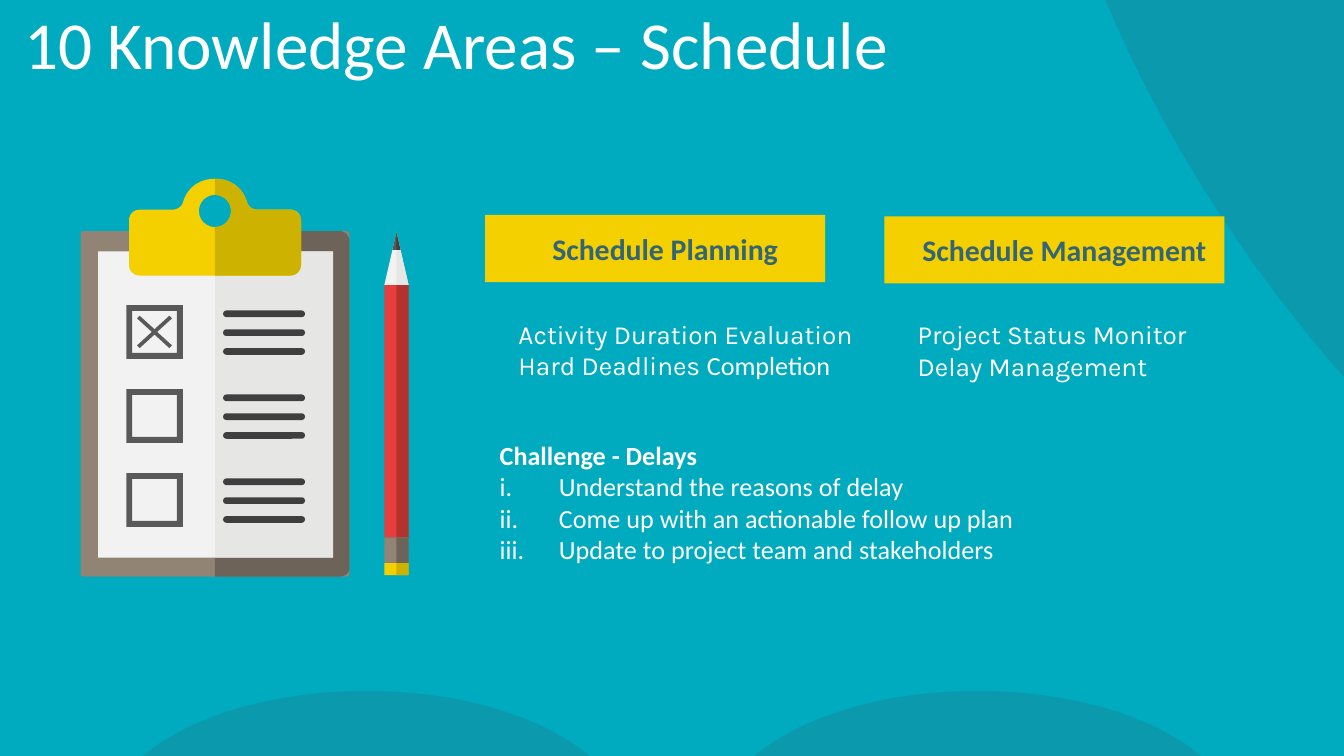
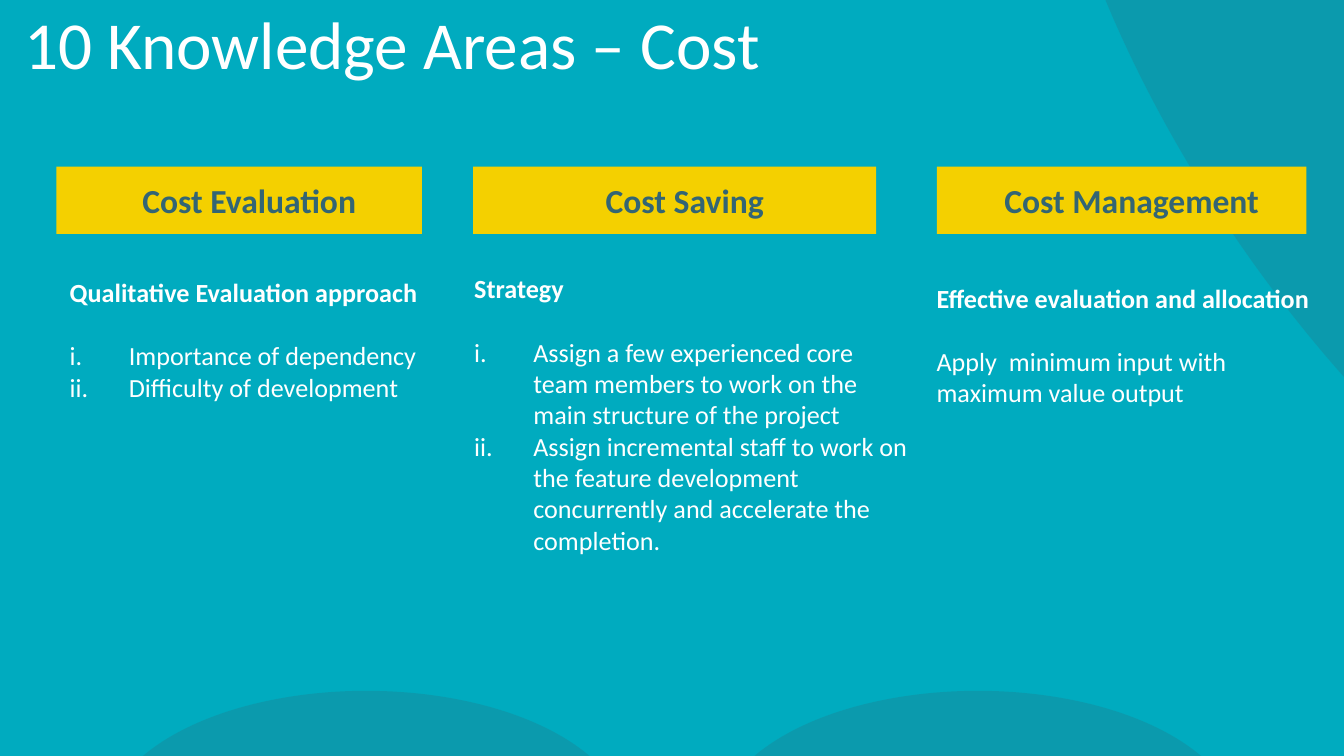
from math import cos, pi, sin

from pptx import Presentation
from pptx.dml.color import RGBColor
from pptx.enum.shapes import MSO_SHAPE as Kind
from pptx.enum.text import MSO_ANCHOR, MSO_AUTO_SIZE, PP_ALIGN
from pptx.oxml import parse_xml
from pptx.oxml.ns import nsdecls
from pptx.util import Inches, Pt

WIDE = Inches(10)
HIGH = WIDE * 9 // 16

TEAL = RGBColor(0x00, 0xAB, 0xBF)
SLATE = RGBColor(0x33, 0x65, 0x74)
WHITE = RGBColor(0xFF, 0xFF, 0xFF)
GOLD = RGBColor(0xF4, 0xD0, 0x00)
OCHRE = RGBColor(0xCE, 0xB2, 0x00)
TAN = RGBColor(0x91, 0x84, 0x74)
BROWN = RGBColor(0x6E, 0x63, 0x58)
PAPER = RGBColor(0xF2, 0xF2, 0xF2)
SHADE = RGBColor(0xE6, 0xE6, 0xE5)
GREY = RGBColor(0x5A, 0x59, 0x59)
DARK = RGBColor(0x3F, 0x3F, 0x3F)
RED = RGBColor(0xE8, 0x3D, 0x3D)
MAROON = RGBColor(0xB2, 0x32, 0x2E)

BODY, ALT = "Calibri", "Karla"
PLAIN, HANG, LIST, DEEP = (0, 0), (0.5, -0.35), (0.44, -0.44), (0.59, -0.44)
INSET = (0.15, 0)


# Basic parts
def paint(shape, color):
    shape.shadow.inherit = False
    shape.fill.solid()
    shape.fill.fore_color.rgb = color
    shape.line.fill.background()
    return shape


def block(shapes, kind, box, color, adj=None):
    shape = paint(shapes.add_shape(kind, *map(Inches, box)), color)
    if adj is not None:
        shape.adjustments[0] = adj
    return shape


def outline(shapes, loops, color, x, y):
    """Closed loops of points, measured from (x, y)."""
    loops = [[(Inches(x + a), Inches(y + b)) for a, b in loop] for loop in loops]
    build = shapes.build_freeform(*loops[0][0])
    for num, loop in enumerate(loops):
        if num:
            build.move_to(*loop[0])
        build.add_line_segments(loop[1:], close=True)
    return paint(build.convert_to_shape(), color)


def curve(a, b, c, d, steps=10):
    """Points along a cubic curve."""
    ts = [n / steps for n in range(steps + 1)]
    return [tuple((1 - t) ** 3 * p + 3 * t * (1 - t) ** 2 * q
                  + 3 * t * t * (1 - t) * r + t ** 3 * s
                  for p, q, r, s in zip(a, b, c, d)) for t in ts]


def arc(y, r, span, steps=24):
    """Points on a circle round (0, y), clockwise from its top."""
    angles = [span * n / steps for n in range(steps + 1)]
    return [(r * sin(t), y - r * cos(t)) for t in angles]


# Text
def style(para, size, color, bold=False, font=BODY):
    for run in para.runs:
        run.font.size = Pt(size)
        run.font.name = run.font.name or font
        run.font.bold = bold
        run.font.color.rgb = color


def indent(para, left, first):
    props = para._p.get_or_add_pPr()
    props.set("marL", str(Inches(left)))
    props.set("indent", str(Inches(first)))
    return props


def number(props):
    ns = nsdecls("a")
    props.append(parse_xml(f'<a:buClr {ns}><a:srgbClr val="{WHITE}"/></a:buClr>'))
    props.append(parse_xml(f'<a:buAutoNum {ns} type="romanLcPeriod"/>'))


def pad(frame, side):
    frame.margin_left = frame.margin_right = Inches(0.1)
    frame.margin_top = frame.margin_bottom = Inches(side)
    frame.word_wrap = True


def label(slide, box, words, size):
    frame = block(slide.shapes, Kind.RECTANGLE, box, GOLD).text_frame
    pad(frame, 0.1)
    frame.vertical_anchor = MSO_ANCHOR.MIDDLE
    frame.text = words
    para = frame.paragraphs[0]
    para.alignment = PP_ALIGN.CENTER
    indent(para, *HANG)
    style(para, size, SLATE, bold=True)


def note(slide, box, lines, lead=None, gap=0, side=0.1, font=BODY):
    """A text box of (words, indent) lines, under an optional bold lead."""
    frame = slide.shapes.add_textbox(*map(Inches, box)).text_frame
    pad(frame, side)
    rows = ([lead] if lead else []) + lines
    frame.text = "\n".join(words for words, _ in rows)
    for num, (para, (_, shift)) in enumerate(zip(frame.paragraphs, rows)):
        top = bool(lead) and num == 0
        if top:
            para.space_after = Pt(gap)
        props = indent(para, *shift)
        if shift in (LIST, DEEP):
            number(props)
        style(para, 14, WHITE, top, font)
    return frame


# Shared look
def backdrop(slide):
    """Teal ground and faint ellipses, kept on the layout."""
    layout = slide.slide_layout
    layout.background.fill.solid()
    layout.background.fill.fore_color.rgb = TEAL
    boxes = [(6.2, -1.55, 9.54, 4.27, 55.5), (0.78, 5.14, 3.89, 2.02, 0),
             (5.33, 5.14, 3.89, 2.02, 0)]
    for *box, turn in boxes:
        oval = block(slide.shapes, Kind.OVAL, box, SLATE)
        oval.rotation = turn
        tint = oval.fill._xPr.find(".//{*}srgbClr")
        tint.append(parse_xml(f'<a:alpha {nsdecls("a")} val="23000"/>'))
        layout.shapes.element.append(oval.element)


def head(slide, words):
    title = slide.shapes.title
    title.left, title.top, title.width, title.height = map(
        Inches, (0.08, 0, 8.44, 0.63))
    frame = title.text_frame
    frame.text = words
    pad(frame, 0.1)
    frame.auto_size = MSO_AUTO_SIZE.NONE
    frame.vertical_anchor = MSO_ANCHOR.MIDDLE
    frame.paragraphs[0].alignment = PP_ALIGN.LEFT
    style(frame.paragraphs[0], 36, WHITE)


# Drawing of the clipboard and pencil
def board(shapes, x, y):
    mid = 1.0
    block(shapes, Kind.ROUNDED_RECTANGLE, (x, y + 0.39, 2, 2.57), TAN, 0.01)
    block(shapes, Kind.RECTANGLE, (x + 0.13, y + 0.54, 1.75, 2.28), PAPER)
    edge = ([(1.64, 0.39)]
            + curve((1.93, 0.39), (1.97, 0.39), (2, 0.43), (2, 0.46))
            + curve((2, 2.9), (2, 2.93), (1.97, 2.96), (1.93, 2.96))
            + [(mid, 2.96), (mid, 2.82), (1.88, 2.82), (1.88, 0.54), (1.64, 0.54)])
    outline(shapes, [edge], BROWN, x, y)
    block(shapes, Kind.RECTANGLE, (x + mid, y + 0.54, 0.88, 2.28), SHADE)

    # Check boxes, each with three lines
    for row in range(3):
        top = y + 0.94 + 1.25 * row / 2
        block(shapes, Kind.FRAME, (x + 0.34, top, 0.42, 0.4), GREY, 0.11)
        for line in range(3):
            spot = (x + 1.06, top + 0.04 + 0.14 * line, 0.61, 0.05)
            block(shapes, Kind.ROUNDED_RECTANGLE, spot, DARK, 0.5)

    # Cross in the first box
    w, h, t = 0.13, 0.12, 0.02
    arm = [(0, -t), (w - t, -h), (w, t - h), (t, 0), (w, h - t), (w - t, h)]
    cross = arm + [(-a, -b) for a, b in arm]
    outline(shapes, [cross], GREY, x + 0.55, y + 1.14)

    # Clip, whole and then its shaded half
    half = (curve((0, 0), (0.12, 0), (0.21, 0.07), (0.24, 0.18))
            + curve((0.24, 0.18), (0.25, 0.21), (0.28, 0.23), (0.32, 0.23))
            + curve((0.56, 0.23), (0.61, 0.23), (0.64, 0.27), (0.64, 0.31))
            + curve((0.64, 0.64), (0.64, 0.68), (0.61, 0.72), (0.56, 0.72)))
    whole = half + [(-a, b) for a, b in reversed(half)]
    outline(shapes, [whole, arc(0.24, 0.12, 2 * pi)], GOLD, x + mid, y)
    shade = half + [(0, 0.72)] + arc(0.24, 0.12, pi)[::-1]
    outline(shapes, [shade], OCHRE, x + mid, y)


def pencil(shapes, x, y):
    wide, half = 0.18, 0.09
    for top, high, base, shade in [(0.39, 1.88, RED, MAROON),
                                   (2.27, 0.19, TAN, BROWN),
                                   (2.46, 0.09, GOLD, OCHRE)]:
        block(shapes, Kind.RECTANGLE, (x, y + top, wide, high), base)
        block(shapes, Kind.RECTANGLE, (x + half, y + top, half, high), shade)
    for w, high, base, shade in [(half, 0.39, PAPER, SHADE),
                                 (0.03, 0.13, GREY, DARK)]:
        outline(shapes, [[(0, 0), (-w, high), (w, high)]], base, x + half, y)
        outline(shapes, [[(0, 0), (0, high), (w, high)]], shade, x + half, y)


# Slides
def schedule(slide):
    head(slide, "10 Knowledge Areas – Schedule")
    art = slide.shapes.add_group_shape().shapes
    board(art, 0.6, 1.33)
    pencil(art, 2.86, 1.73)
    note(slide, (3.62, 3.22, 5.23, 1.56),
         [("Understand the reasons of delay", LIST),
          ("Come up with an actionable follow up plan", LIST),
          ("Update to project team and stakeholders", LIST)],
         lead=("Challenge - Delays", PLAIN), side=0.05)
    label(slide, (3.61, 1.6, 2.53, 0.5), "Schedule Planning", 16)
    frame = note(slide, (3.61, 2.27, 3.07, 0.63),
                 [("Activity Duration Evaluation", HANG),
                  ("Hard Deadlines ", HANG)], font=ALT)
    last = frame.paragraphs[1]
    run = last.add_run()
    run.text = "Completion"
    run.font.name = BODY
    style(last, 14, WHITE)
    label(slide, (6.58, 1.61, 2.53, 0.5), "Schedule Management", 16)
    note(slide, (6.58, 2.27, 3.32, 0.82),
         [("Project Status Monitor", HANG), ("Delay Management", HANG)], font=ALT)


def cost(slide):
    head(slide, "10 Knowledge Areas – Cost")
    for x, w, words in [(0.42, 2.72, "Cost Evaluation"), (3.52, 3, "Cost Saving"),
                        (6.97, 2.75, "Cost Management")]:
        label(slide, (x, 1.24, w, 0.5), words, 18)
    note(slide, (0.42, 2.01, 3.45, 1.56),
         [("Importance of dependency", LIST), ("Difficulty of development", LIST)],
         lead=("Qualitative Evaluation approach", PLAIN), gap=17, side=0.05)
    note(slide, (3.28, 1.93, 3.59, 2.35),
         [("Assign a few experienced core team members to work on the main "
           "structure of the project", DEEP),
          ("Assign incremental staff to work on the feature development "
           "concurrently and accelerate the completion.", DEEP)],
         lead=("Strategy", HANG), gap=17)
    note(slide, (6.72, 2, 3.18, 2.35),
         [("Apply  minimum input with maximum value output", INSET)],
         lead=("Effective evaluation and allocation", HANG), gap=17)


def main():
    deck = Presentation()
    deck.slide_width, deck.slide_height = WIDE, HIGH
    layout = deck.slide_layouts[5]
    first, second = (deck.slides.add_slide(layout) for _ in range(2))
    backdrop(first)
    schedule(first)
    cost(second)
    deck.save("out.pptx")


if __name__ == "__main__":
    main()
